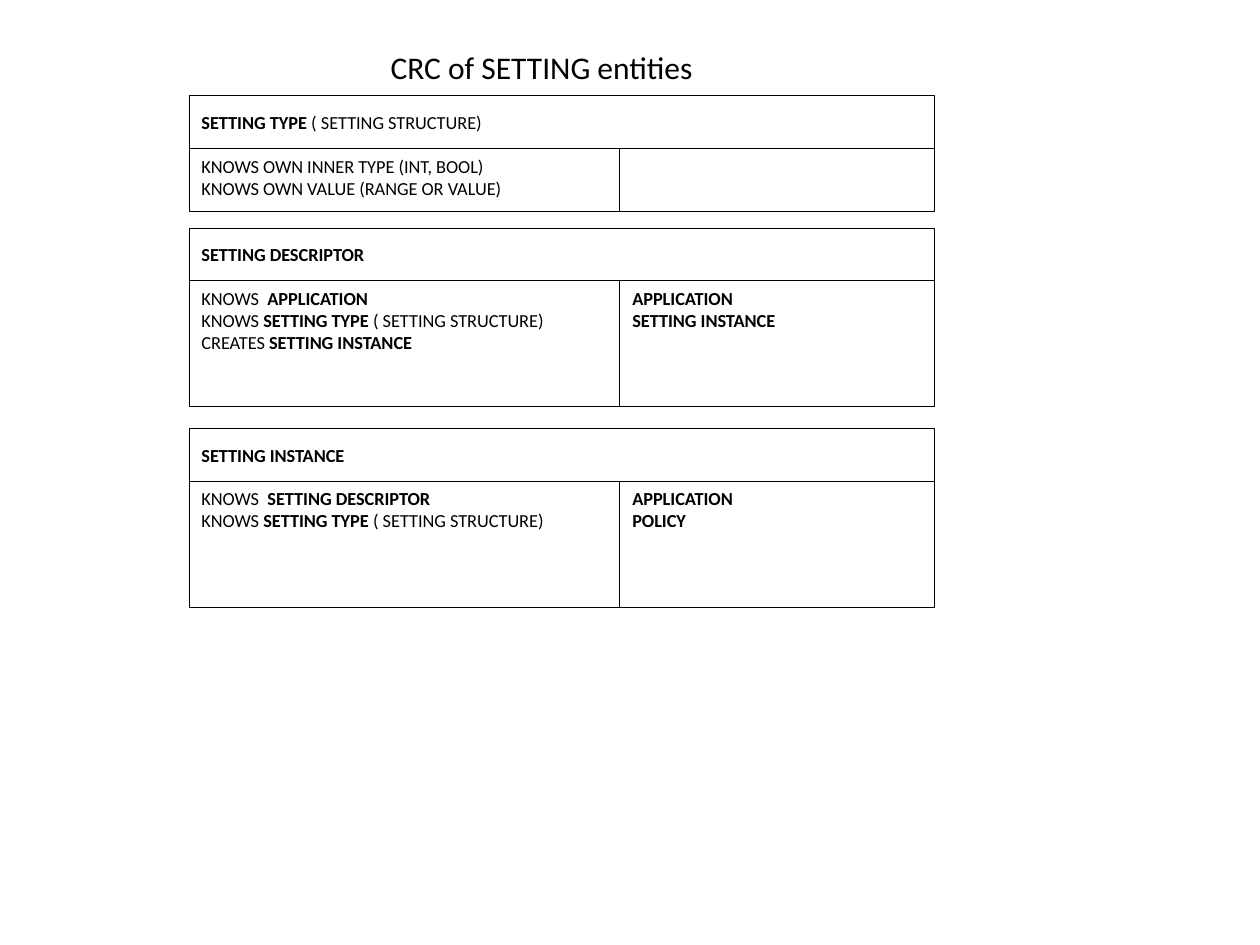
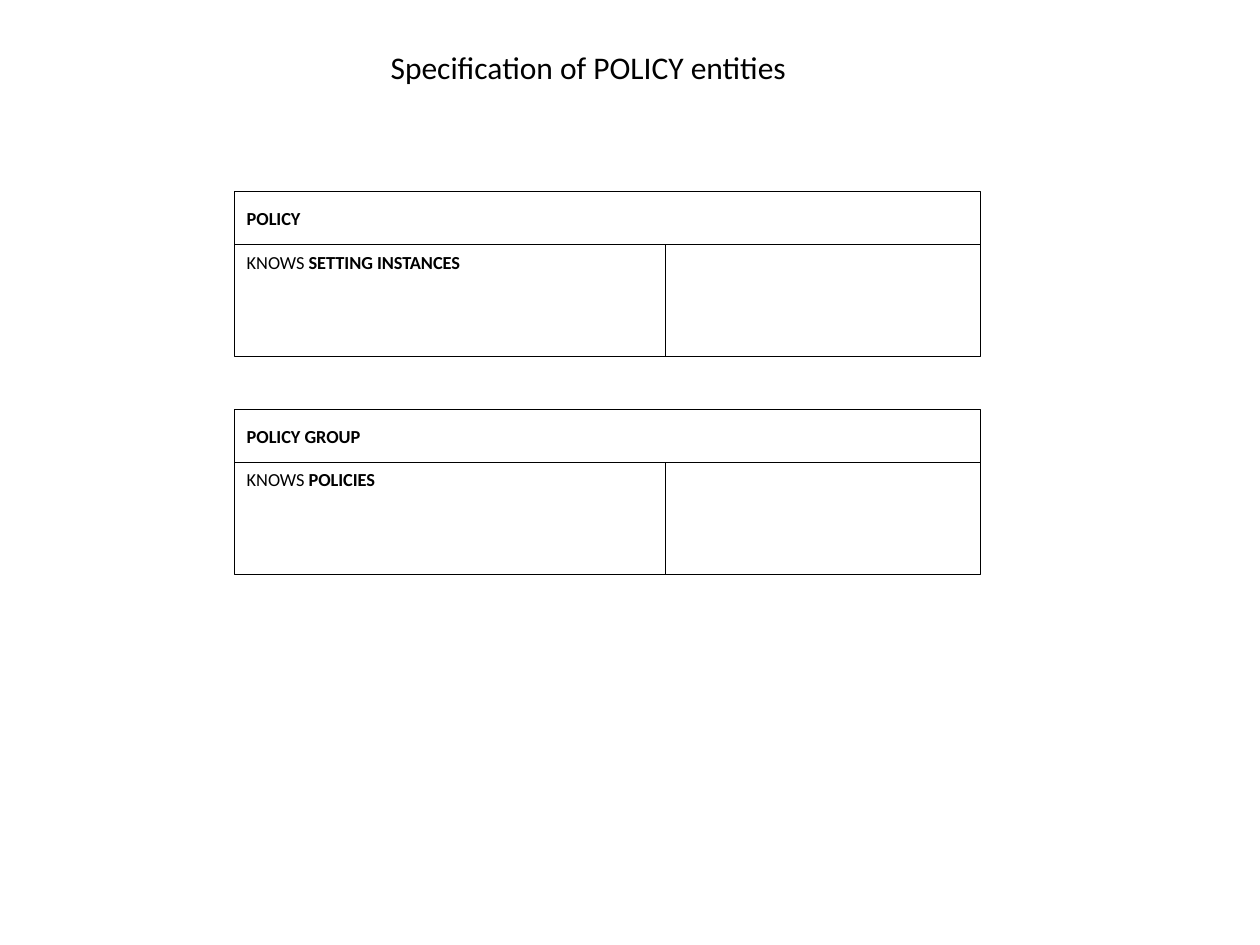
from pptx import Presentation
from pptx.dml.color import RGBColor
from pptx.enum.shapes import MSO_SHAPE
from pptx.enum.text import MSO_ANCHOR, MSO_AUTO_SIZE, PP_ALIGN
from pptx.util import Inches, Pt

BLACK = RGBColor(0x00, 0x00, 0x00)
FONT = "Calibri"
TITLE_ONLY = 5

# Card measures in inches
HEADER_HEIGHT = 0.42
DUTIES_WIDTH = 3.42
PARTNERS_WIDTH = 2.5

# Each card: top, body height, heading, duties, partners; *stars* mark bold
SETTING_CARDS = [
    (0.76, 0.5, "*SETTING TYPE *( SETTING STRUCTURE)",
     ["KNOWS OWN INNER TYPE (INT, BOOL)", "KNOWS OWN VALUE (RANGE OR VALUE)"], []),
    (1.81, 1, "*SETTING DESCRIPTOR*",
     ["KNOWS  *APPLICATION*", "KNOWS *SETTING TYPE *( SETTING STRUCTURE)",
      "CREATES *SETTING INSTANCE*"],
     ["*APPLICATION*", "*SETTING INSTANCE*"]),
    (3.4, 1, "*SETTING INSTANCE*",
     ["KNOWS  *SETTING DESCRIPTOR*", "KNOWS *SETTING TYPE* ( SETTING STRUCTURE)"],
     ["*APPLICATION*", "*POLICY*"]),
]
POLICY_CARDS = [
    (1.52, 0.89, "*POLICY*", ["KNOWS* SETTING INSTANCES*"], []),
    (3.25, 0.89, "*POLICY GROUP*", ["KNOWS* POLICIES*"], []),
]


def apply_format(target, values):
    for name, value in values.items():
        setattr(target, name, value)


def add_span(para, text, size, bold=False):
    span = para.add_run()
    span.text = text
    apply_format(span.font, {"name": FONT, "size": Pt(size), "bold": bold})
    span.font.color.rgb = BLACK


def add_title(page, text, width):
    title = page.shapes.title
    apply_format(title, {"left": Inches(3), "top": Inches(0.33),
                         "width": Inches(width), "height": Inches(0.4)})
    apply_format(title.text_frame, {"word_wrap": False,
                                    "auto_size": MSO_AUTO_SIZE.SHAPE_TO_FIT_TEXT,
                                    "vertical_anchor": MSO_ANCHOR.TOP})
    para = title.text_frame.paragraphs[0]
    para.alignment = PP_ALIGN.LEFT
    add_span(para, text, 18)


def add_cell(page, left, top, width, height, lines, anchor=MSO_ANCHOR.TOP):
    box = page.shapes.add_shape(MSO_SHAPE.RECTANGLE, Inches(left), Inches(top),
                                Inches(width), Inches(height))
    box.shadow.inherit = False
    box.fill.background()
    box.line.color.rgb = BLACK
    box.line.width = Pt(0.5)
    frame = box.text_frame
    apply_format(frame, {"word_wrap": True, "vertical_anchor": anchor})
    for index, line in enumerate(lines):
        para = frame.add_paragraph() if index else frame.paragraphs[0]
        para.alignment = PP_ALIGN.LEFT
        # Every second piece between stars is bold
        for position, piece in enumerate(line.split("*")):
            if piece:
                add_span(para, piece, 10.5, bold=position % 2 == 1)


def add_card(page, left, top, body_height, heading, duties, partners):
    body_top = top + HEADER_HEIGHT
    add_cell(page, left, top, DUTIES_WIDTH + PARTNERS_WIDTH, HEADER_HEIGHT,
             [heading], MSO_ANCHOR.MIDDLE)
    add_cell(page, left, body_top, DUTIES_WIDTH, body_height, duties)
    add_cell(page, left + DUTIES_WIDTH, body_top, PARTNERS_WIDTH, body_height, partners)


def add_page(deck, title, title_width, cards_left, cards):
    page = deck.slides.add_slide(deck.slide_layouts[TITLE_ONLY])
    add_title(page, title, title_width)
    for card in cards:
        add_card(page, cards_left, *card)


def main():
    deck = Presentation()
    apply_format(deck, {"slide_width": Inches(10), "slide_height": Inches(7.5)})
    add_page(deck, "CRC of SETTING entities", 2.63, 1.5, SETTING_CARDS)
    add_page(deck, "Specification of POLICY entities", 3.38, 1.86, POLICY_CARDS)
    deck.save("out.pptx")


if __name__ == "__main__":
    main()
